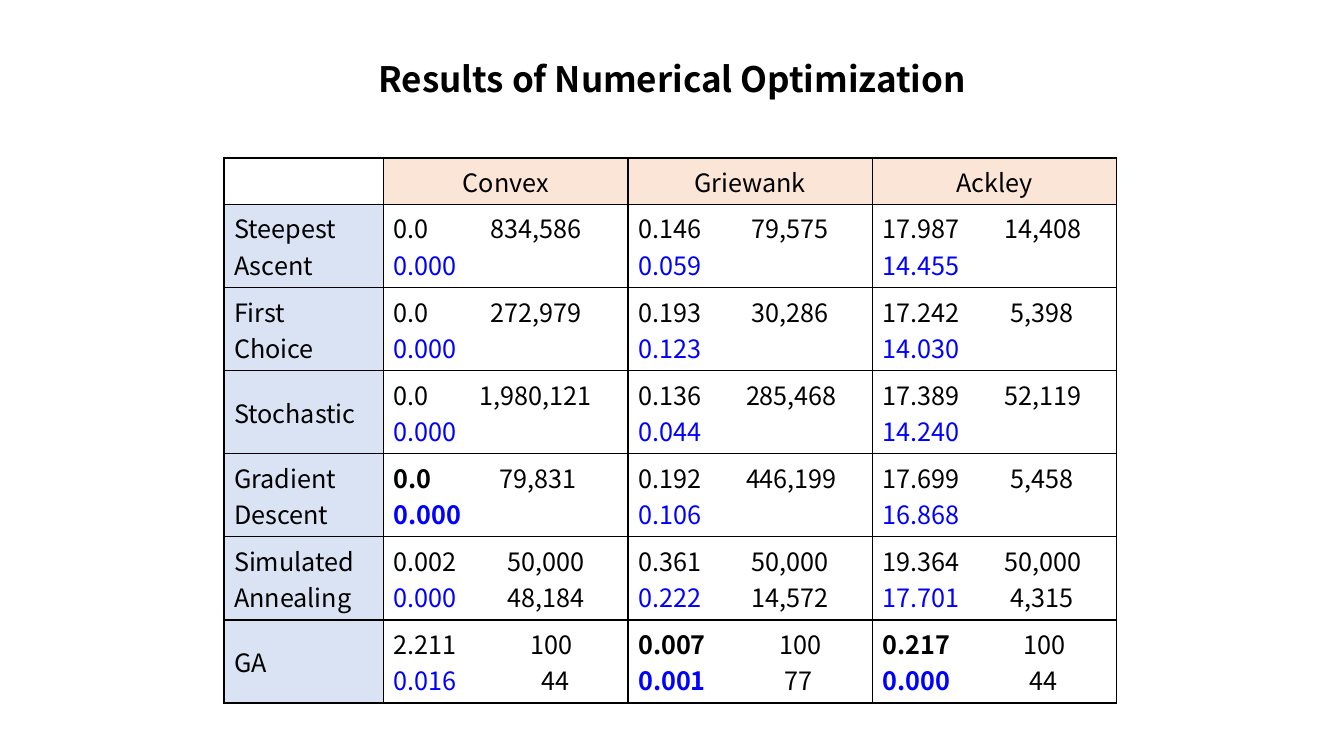
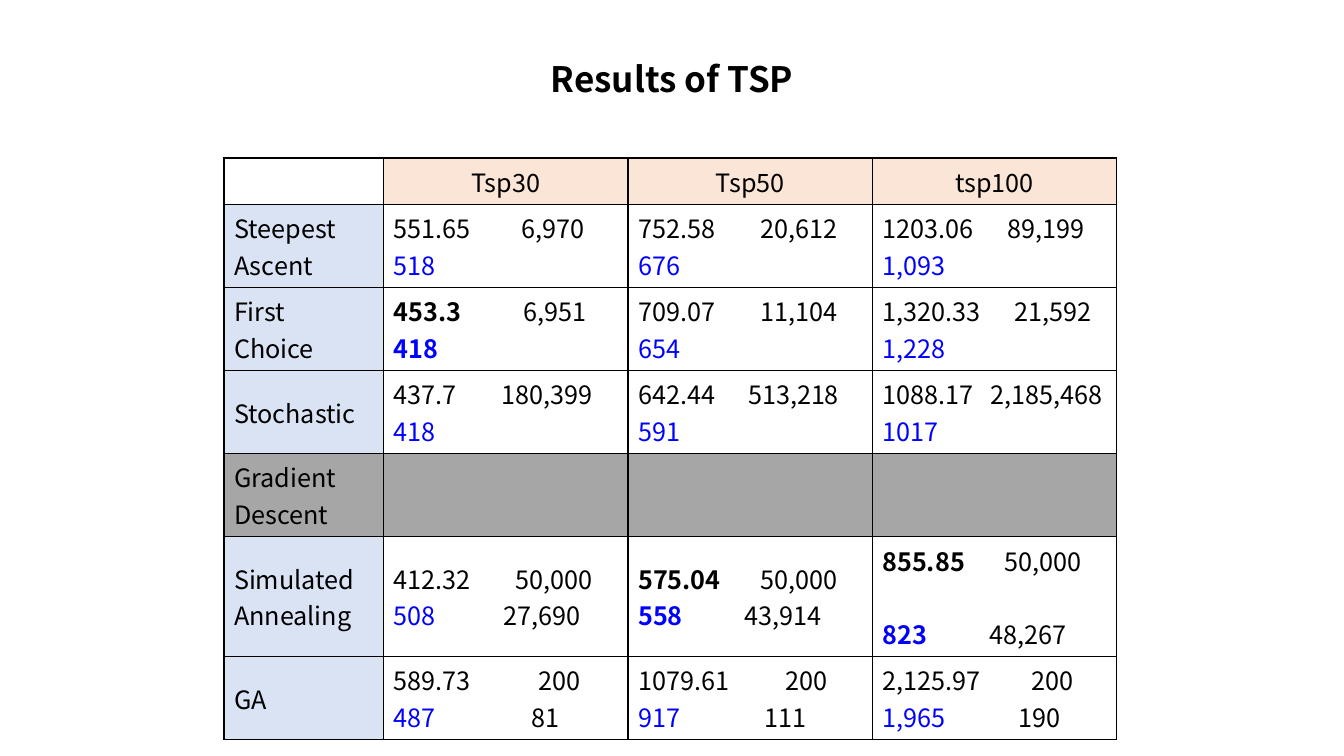
"""Two slides with tables of optimization results."""
from lxml.etree import SubElement
from pptx import Presentation
from pptx.dml.color import RGBColor
from pptx.enum.text import MSO_ANCHOR, MSO_AUTO_SIZE, PP_ALIGN
from pptx.oxml.ns import qn
from pptx.util import Pt

FONT = "Noto Sans CJK KR"
BLACK = RGBColor(0x00, 0x00, 0x00)
BLUE = RGBColor(0x00, 0x00, 0xFF)
WHITE = RGBColor(0xFF, 0xFF, 0xFF)
PEACH = RGBColor(0xFB, 0xE5, 0xD6)
PALE_BLUE = RGBColor(0xDA, 0xE3, 0xF3)
GREY = RGBColor(0xA6, 0xA6, 0xA6)

METHODS = [("Steepest", "Ascent"), ("First", "Choice"), ("Stochastic",),
           ("Gradient", "Descent"), ("Simulated", "Annealing"), ("GA",)]
HEADER_HEIGHT, ROW_HEIGHT = 33.4, 59.3
COLUMN_WIDTHS = [114.2, 174.5, 174.5, 174.5]

# Each line of a cell: value, evaluation count, centre of the count in points
RESULTS = [
    {
        "title": "Results of Numerical Optimization",
        "problems": ["Convex", "Griewank", "Ackley"],
        "best": {(3, 0), (5, 1), (5, 2)},
        "line_gap": {},
        "rows": [
            [[("0.0", "834,586", 101.5), ("0.000",)],
             [("0.146", "79,575", 108.5), ("0.059",)],
             [("17.987", "14,408", 114.5), ("14.455",)]],
            [[("0.0", "272,979", 101.5), ("0.000",)],
             [("0.193", "30,286", 108.5), ("0.123",)],
             [("17.242", "5,398", 114), ("14.030",)]],
            [[("0.0", "1,980,121", 101), ("0.000",)],
             [("0.136", "285,468", 109.5), ("0.044",)],
             [("17.389", "52,119", 114.5), ("14.240",)]],
            [[("0.0", "79,831", 103), ("0.000",)],
             [("0.192", "446,199", 109.5), ("0.106",)],
             [("17.699", "5,458", 114), ("16.868",)]],
            [[("0.002", "50,000", 108.5), ("0.000", "48,184", 108.5)],
             [("0.361", "50,000", 108.5), ("0.222", "14,572", 108.5)],
             [("19.364", "50,000", 114.5), ("17.701", "4,315", 114)]],
            [[("2.211", "100", 112.5), ("0.016", "44", 115.5)],
             [("0.007", "100", 116), ("0.001", "77", 114.5)],
             [("0.217", "100", 116), ("0.000", "44", 115)]],
        ],
    },
    {
        "title": "Results of TSP",
        "problems": ["Tsp30", "Tsp50", "tsp100"],
        "best": {(1, 0), (4, 1), (4, 2)},
        "line_gap": {(4, 2): 26},
        "rows": [
            [[("551.65", "6,970", 113.5), ("518",)],
             [("752.58", "20,612", 115), ("676",)],
             [("1203.06", "89,199", 117), ("1,093",)]],
            [[("453.3", "6,951", 115), ("418",)],
             [("709.07", "11,104", 115), ("654",)],
             [("1,320.33", "21,592", 122), ("1,228",)]],
            [[("437.7", "180,399", 109.5), ("418",)],
             [("642.44", "513,218", 111), ("591",)],
             [("1088.17", "2,185,468", 117), ("1017",)]],
            [],
            [[("412.32", "50,000", 114.5), ("508", "27,690", 106)],
             [("575.04", "50,000", 115), ("558", "43,914", 103.5)],
             [("855.85", "50,000", 115), ("823", "48,267", 104)]],
            [[("589.73", "200", 118.5), ("487", "81", 108)],
             [("1079.61", "200", 120), ("917", "111", 105)],
             [("2,125.97", "200", 121.5), ("1,965", "190", 112)]],
        ],
    },
]


def add_run(paragraph, text, size=18, color=BLACK, bold=False):
    run = paragraph.add_run()
    run.text = text
    style = {"name": FONT, "size": Pt(size), "bold": bold}
    for attribute, value in style.items():
        setattr(run.font, attribute, value)
    run.font.color.rgb = color


def format_cell(cell, fill):
    cell.vertical_anchor = MSO_ANCHOR.MIDDLE
    properties = cell._tc.get_or_add_tcPr()
    for side in ("a:lnL", "a:lnR", "a:lnT", "a:lnB"):
        border = SubElement(properties, qn(side), w=str(Pt(1)))
        SubElement(SubElement(border, qn("a:solidFill")), qn("a:srgbClr"), val=str(BLACK))
    cell.fill.solid()
    cell.fill.fore_color.rgb = fill


deck = Presentation()
deck.slide_width, deck.slide_height = Pt(960), Pt(540)

for result in RESULTS:
    slide = deck.slides.add_slide(deck.slide_layouts[6])
    heights = [HEADER_HEIGHT] + [ROW_HEIGHT] * len(METHODS)
    for (row, column), gap in result["line_gap"].items():
        heights[row + 1] += gap + 0.4
    table = slide.shapes.add_table(
        len(heights), len(COLUMN_WIDTHS), Pt(160), Pt(112.8),
        Pt(sum(COLUMN_WIDTHS)), Pt(sum(heights))).table
    table.first_row = table.horz_banding = False
    for column, width in zip(table.columns, COLUMN_WIDTHS):
        column.width = Pt(width)
    for row, height in zip(table.rows, heights):
        row.height = Pt(height)

    format_cell(table.cell(0, 0), WHITE)
    for column, problem in enumerate(result["problems"], 1):
        heading = table.cell(0, column)
        format_cell(heading, PEACH)
        heading.text_frame.paragraphs[0].alignment = PP_ALIGN.CENTER
        add_run(heading.text_frame.paragraphs[0], problem)

    for row, (method, scores) in enumerate(zip(METHODS, result["rows"])):
        label = table.cell(row + 1, 0)
        format_cell(label, PALE_BLUE if scores else GREY)
        for line, word in enumerate(method):
            frame = label.text_frame
            add_run(frame.add_paragraph() if line else frame.paragraphs[0], word)

        for column in range(len(result["problems"])):
            score = table.cell(row + 1, column + 1)
            format_cell(score, WHITE if scores else GREY)
            frame = score.text_frame
            for line, (value, *evaluations) in enumerate(scores[column] if scores else []):
                paragraph = frame.add_paragraph() if line else frame.paragraphs[0]
                if line and (row, column) in result["line_gap"]:
                    paragraph.space_before = Pt(result["line_gap"][row, column])
                add_run(paragraph, value, color=BLUE if line else BLACK,
                        bold=(row, column) in result["best"])
                if evaluations:
                    count, centre = evaluations
                    stops = SubElement(paragraph._p.get_or_add_pPr(), qn("a:tabLst"))
                    SubElement(stops, qn("a:tab"), pos=str(Pt(centre)), algn="ctr")
                    add_run(paragraph, "\t" + count)

    title = slide.shapes.add_textbox(Pt(137), Pt(37.5), Pt(686), Pt(37.5)).text_frame
    title.word_wrap = True
    title.auto_size = MSO_AUTO_SIZE.SHAPE_TO_FIT_TEXT
    title.paragraphs[0].alignment = PP_ALIGN.CENTER
    add_run(title.paragraphs[0], result["title"], size=25, bold=True)

deck.save("out.pptx")
